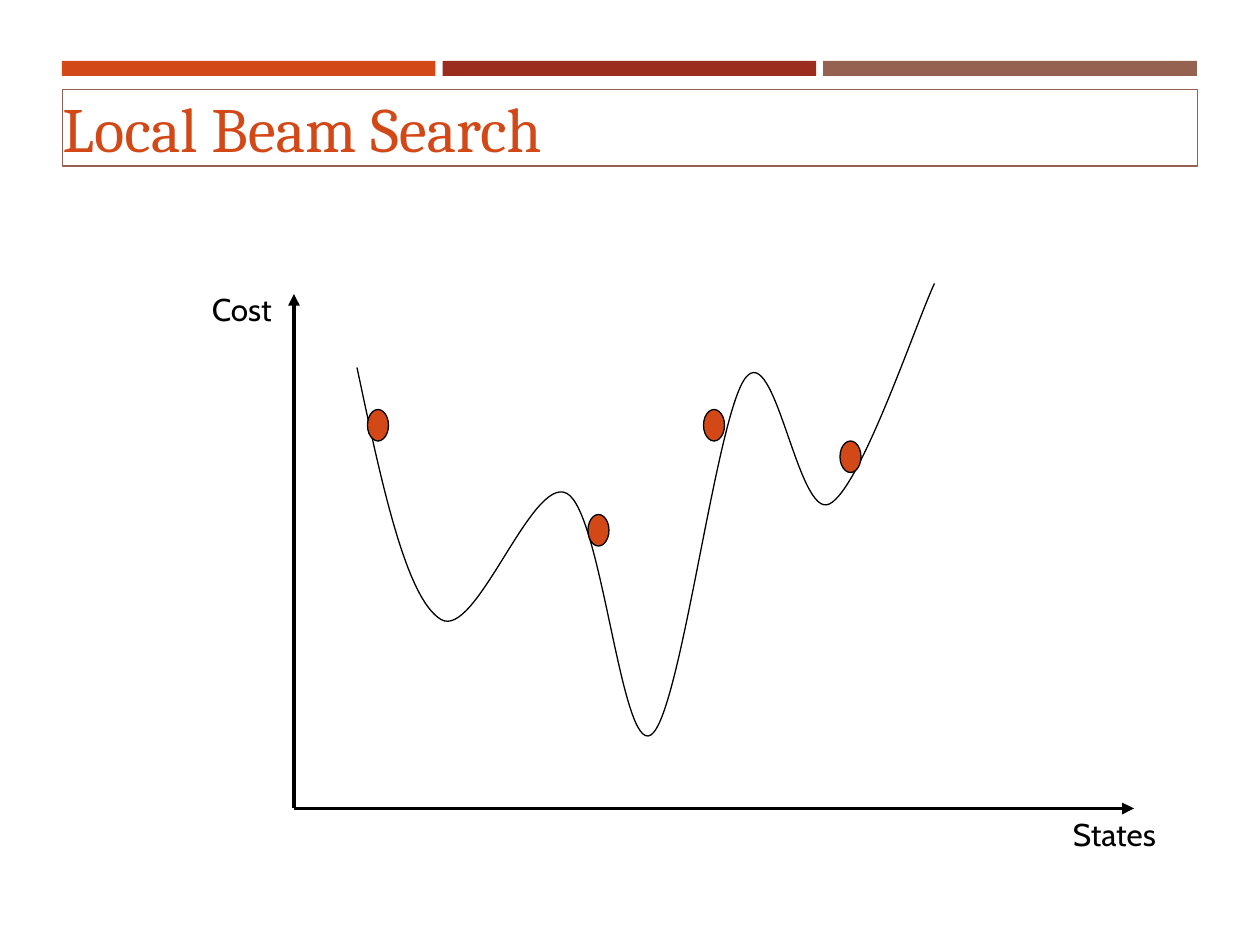
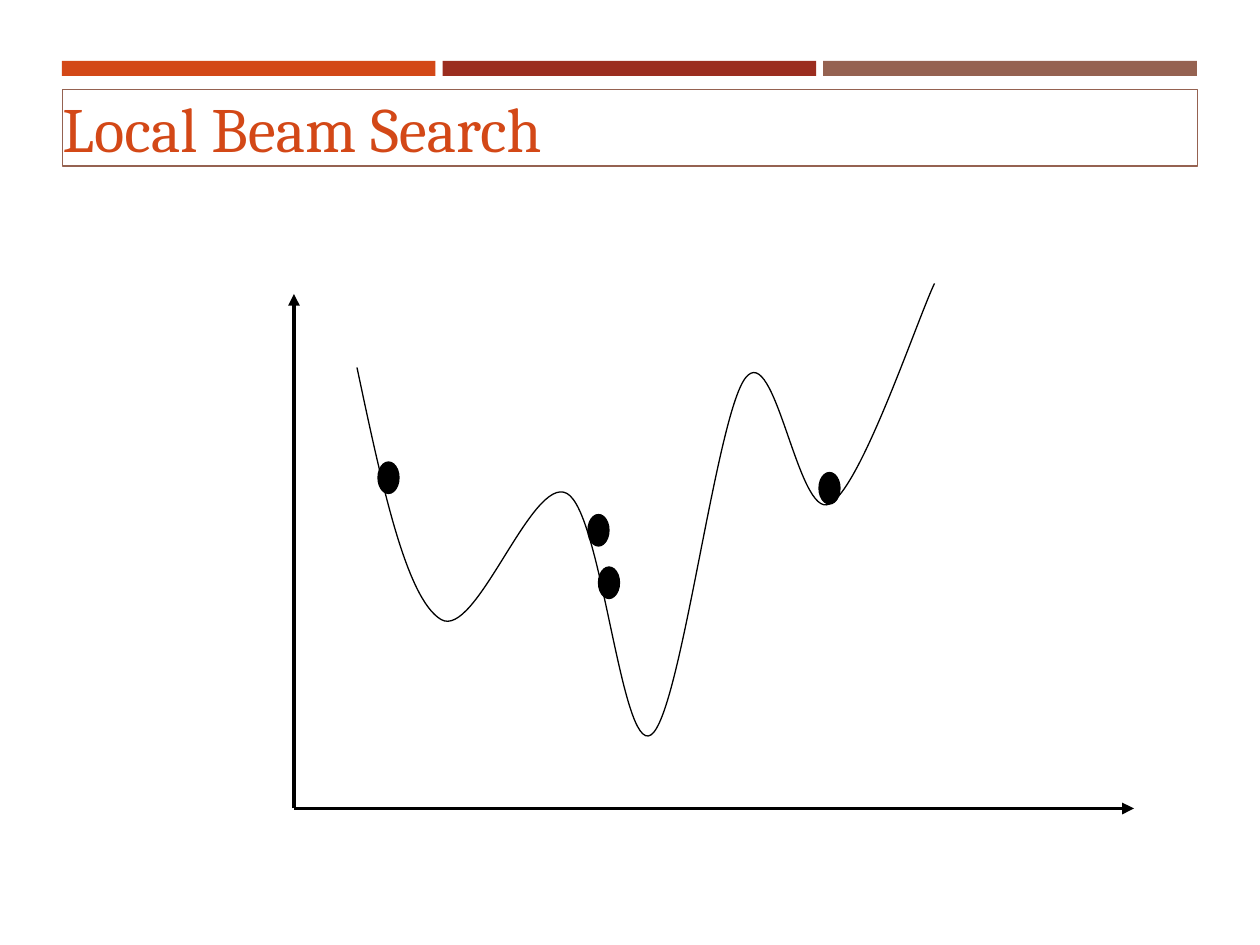
"""Build two slides that show local beam search on a cost curve."""
import pptx
import pptx.dml.color
import pptx.enum.shapes
import pptx.enum.text
import pptx.oxml
import pptx.oxml.ns
import pptx.util

Pt = pptx.util.Pt
SHAPES = pptx.enum.shapes.MSO_SHAPE
COLOURS = {"orange": "D34817", "red": "9B2D1F", "brown": "956251", "black": "000000"}
ORIGIN = (168, 462)
AXIS_TIPS = [(168, 168), (648, 462)]
CURVE_START = (204, 210)
CURVE_POINTS = [
    (218, 276), (232, 342), (252, 354),
    (272, 366), (304, 271), (324, 282),
    (344, 293), (355, 431), (372, 420),
    (389, 409), (409, 238), (426, 216),
    (443, 194), (456, 297), (474, 288),
    (492, 279), (524, 183), (534, 162),
]
SLIDES = [
    {
        "dot_colour": "orange",
        "states": [(210, 234), (336, 294), (402, 234), (480, 252)],
        "labels": [("Cost", 114, 162, 78), ("States", 606, 462, 84)],
    },
    {
        "dot_colour": "black",
        "states": [(336, 294), (216, 264), (342, 324), (468, 270)],
        "labels": [],
    },
]


def apply_format(target, values):
    for name, value in values.items():
        setattr(target, name, value)


def colour(name):
    return pptx.dml.color.RGBColor.from_string(COLOURS[name])


def add_xml(parent, tag, **attributes):
    element = pptx.oxml.parse_xml(f"<a:{tag} {pptx.oxml.ns.nsdecls('a')}/>")
    for name, value in attributes.items():
        element.set(name, value)
    parent.append(element)
    return element


class Deck:
    label_font = {"name": "Cabin", "size": Pt(18)}
    title_font = {"name": "Cambria", "size": Pt(36)}
    title_frame = {
        "margin_left": 0, "margin_right": 0, "margin_top": 0, "margin_bottom": 0,
        "vertical_anchor": pptx.enum.text.MSO_ANCHOR.MIDDLE,
    }

    def __init__(self):
        self.presentation = pptx.Presentation()
        apply_format(self.presentation, {"slide_width": Pt(720), "slide_height": Pt(540)})
        self.slide = None

    def new_slide(self, title):
        self.slide = self.presentation.slides.add_slide(self.presentation.slide_layouts[6])
        for index, name in enumerate(["orange", "red", "brown"]):
            self.shape(SHAPES.RECTANGLE, 35.4 + 217.5 * index, 34.8, 213.5, 8.6, fill=name)
        box = self.shape(SHAPES.RECTANGLE, 35.7, 51.1, 648.6, 43.8, line=("brown", 1))
        self.set_text(box, title, self.title_frame, self.title_font, "orange")

    def paint(self, shape, fill=None, line=None):
        shape.shadow.inherit = False
        if fill:
            shape.fill.solid()
            shape.fill.fore_color.rgb = colour(fill)
        else:
            shape.fill.background()
        if line:
            self.stroke(shape, *line)
        else:
            shape.line.fill.background()

    def stroke(self, shape, name, width):
        shape.line.color.rgb = colour(name)
        shape.line.width = Pt(width)

    def shape(self, kind, left, top, width, height, fill=None, line=None):
        shape = self.slide.shapes.add_shape(kind, Pt(left), Pt(top), Pt(width), Pt(height))
        self.paint(shape, fill, line)
        return shape

    def set_text(self, shape, text, frame_format, font_format, colour_name):
        frame = shape.text_frame
        apply_format(frame, {"word_wrap": True, **frame_format})
        paragraph = frame.paragraphs[0]
        paragraph.alignment = pptx.enum.text.PP_ALIGN.LEFT
        run = paragraph.add_run()
        run.text = text
        apply_format(run.font, font_format)
        run.font.color.rgb = colour(colour_name)

    def label(self, text, left, top, width):
        box = self.slide.shapes.add_textbox(Pt(left), Pt(top), Pt(width), Pt(29))
        self.set_text(box, text, {}, self.label_font, "black")

    def arrow(self, start, end):
        connector = self.slide.shapes.add_connector(
            pptx.enum.shapes.MSO_CONNECTOR.STRAIGHT, *map(Pt, start + end))
        self.stroke(connector, "black", 2.25)
        properties = connector.element.spPr
        add_xml(properties.find(pptx.oxml.ns.qn("a:ln")), "tailEnd", type="triangle")
        add_xml(properties, "effectLst")

    def curve(self, start, points):
        builder = self.slide.shapes.build_freeform(*start, scale=Pt(1))
        builder.add_line_segments(points, close=False)
        shape = builder.convert_to_shape()
        self.paint(shape, line=("black", 0.75))
        lines = list(shape.element.iter(pptx.oxml.ns.qn("a:lnTo")))
        outline = lines[0].getparent()
        for index in range(0, len(lines), 3):
            bezier = add_xml(outline, "cubicBezTo")
            for line in lines[index:index + 3]:
                bezier.append(line[0])
                outline.remove(line)


def main():
    deck = Deck()
    for content in SLIDES:
        deck.new_slide("Local Beam Search")
        for tip in AXIS_TIPS:
            deck.arrow(ORIGIN, tip)
        deck.curve(CURVE_START, CURVE_POINTS)
        for left, top in content["states"]:
            deck.shape(SHAPES.OVAL, left, top, 12, 18, content["dot_colour"], ("black", 0.75))
        for label in content["labels"]:
            deck.label(*label)
    deck.presentation.save("out.pptx")


if __name__ == "__main__":
    main()
